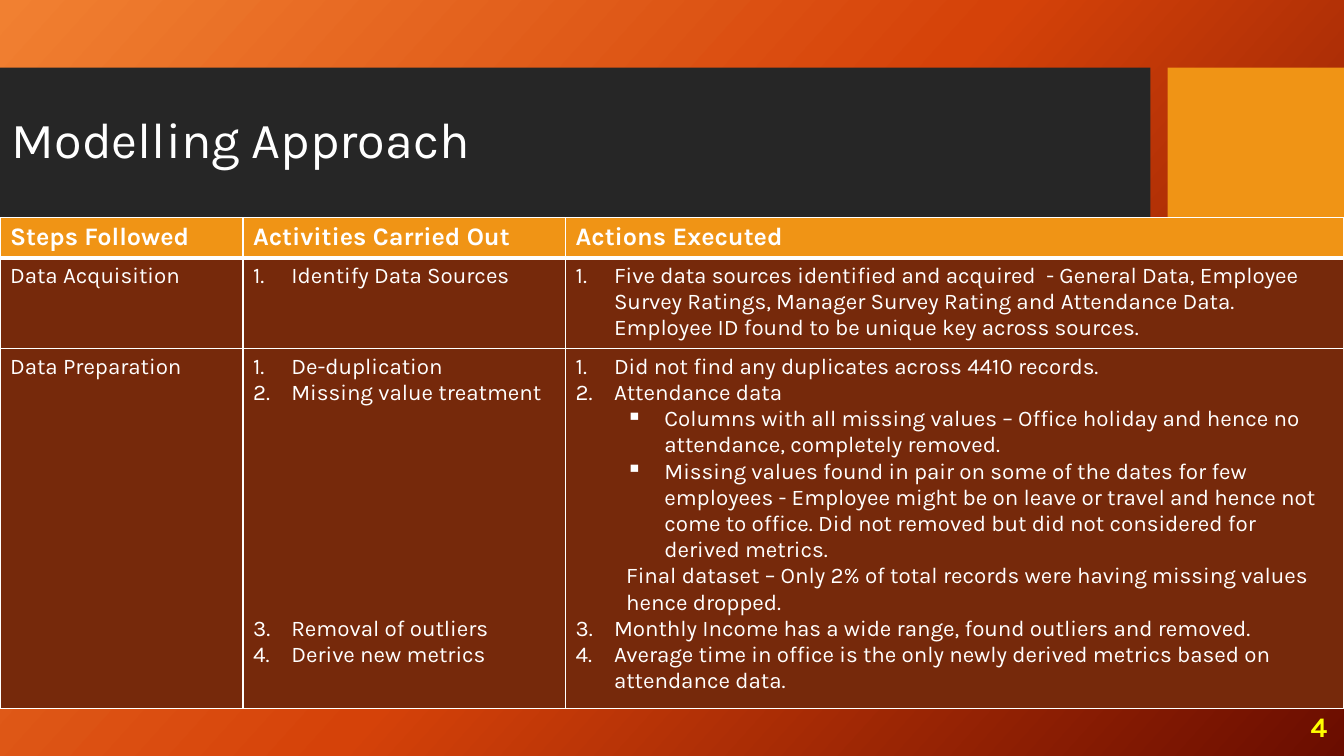
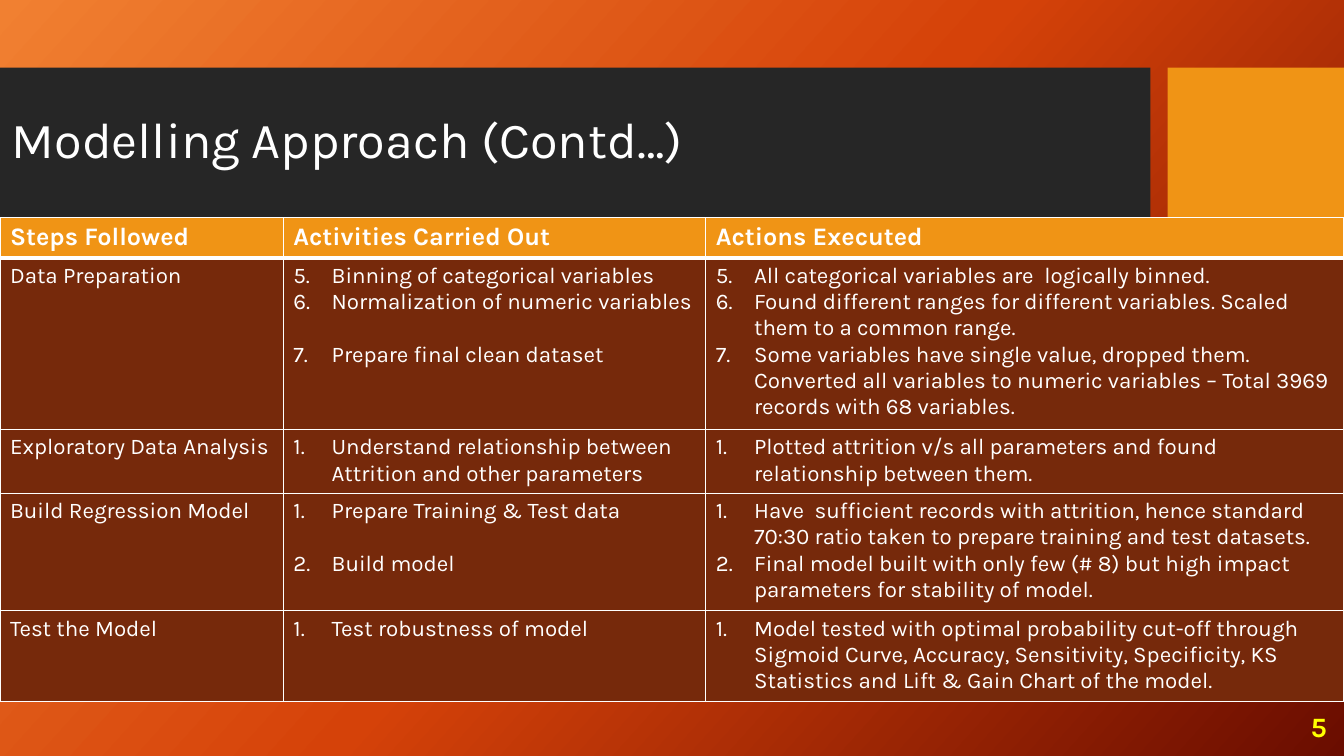
import pptx
import pptx.dml.color
import pptx.enum.shapes
import pptx.enum.text
import pptx.oxml
import pptx.oxml.ns
import pptx.util
from lxml import etree

Inches = pptx.util.Inches
Pt = pptx.util.Pt

FONT = "Karla"
COLORS = {
    "white": "FFFFFF", "title band": "262626", "accent": "F09415",
    "body": "76290B", "page number": "FFFF00",
    "glow": "F18031", "middle": "D54209", "dark": "6A0D00",
}
BACKGROUND_STOPS = [(0, "glow"), (50, "middle"), (100, "dark")]
BACKGROUND_ANGLE = 42
BANDS = [(0, 11.41, "title band"), (11.58, 1.75, "accent")]
BAND_TOP, BAND_HEIGHT = 0.67, 1.5
TABLE_TOP = 2.16
HEADER_HEIGHT = 0.39
LINE_HEIGHT = 0.26
CELL_PADDING = 0.1
HEADERS = ["Steps Followed", "Activities Carried Out", "Actions Executed"]

# Paragraph kind: level, left margin, first-line indent
PARAGRAPH_KINDS = {
    "plain": (0, 0, 0),
    "number": (0, 0.38, -0.38),
    "bullet": (1, 0.88, -0.38),
    "note": (1, 0.5, 0),
}

# An item is a text, or a text with its kind and the number of free lines above it.
# "lines" is the number of text lines that the tallest cell of the row takes.
SLIDES = [
    {
        "title": "Modelling Approach",
        "number": "4",
        "columns": [2.41, 3.2, 7.72],
        "rows": [
            {"step": "Data Acquisition", "lines": 3, "start": 1,
             "activities": ["Identify Data Sources"],
             "actions": [
                 "Five data sources identified and acquired  - General Data, Employee "
                 "Survey Ratings, Manager Survey Rating and Attendance Data. "
                 "Employee ID found to be unique key across sources."]},
            {"step": "Data Preparation", "lines": 13, "start": 1,
             "activities": [
                 "De-duplication",
                 "Missing value treatment",
                 ("Removal of outliers", "number", 8),
                 "Derive new metrics"],
             "actions": [
                 "Did not find any duplicates across 4410 records.",
                 "Attendance data",
                 ("Columns with all missing values – Office holiday and hence no "
                  "attendance, completely removed.", "bullet", 0),
                 ("Missing values found in pair on some of the dates for few "
                  "employees - Employee might be on leave or travel and hence not "
                  "come to office. Did not removed but did not considered for "
                  "derived metrics.", "bullet", 0),
                 ("Final dataset – Only 2% of total records were having missing "
                  "values hence dropped.", "note", 0),
                 "Monthly Income has a wide range, found outliers and removed.",
                 "Average time in office is the only newly derived metrics based on "
                 "attendance data."]},
        ],
    },
    {
        "title": "Modelling Approach (Contd…)",
        "number": "5",
        "columns": [2.81, 4.19, 6.33],
        "rows": [
            {"step": "Data Preparation", "lines": 6, "start": 5,
             "activities": [
                 "Binning of categorical variables",
                 "Normalization of numeric variables",
                 ("Prepare final clean dataset", "number", 1)],
             "actions": [
                 "All categorical variables are  logically binned.",
                 "Found different ranges for different variables. Scaled them to a "
                 "common range.",
                 "Some variables have single value, dropped them. Converted all "
                 "variables to numeric variables – Total 3969 records with 68 "
                 "variables."]},
            {"step": "Exploratory Data Analysis", "lines": 2, "start": 1,
             "activities": [
                 "Understand relationship between Attrition and other parameters"],
             "actions": [
                 "Plotted attrition v/s all parameters and found relationship "
                 "between them."]},
            {"step": "Build Regression Model", "lines": 4, "start": 1,
             "activities": [
                 "Prepare Training & Test data",
                 ("Build model", "number", 1)],
             "actions": [
                 "Have  sufficient records with attrition, hence standard 70:30 "
                 "ratio taken to prepare training and test datasets.",
                 "Final model built with only few (# 8) but high impact parameters "
                 "for stability of model."]},
            {"step": "Test the Model", "lines": 3, "start": 1,
             "activities": ["Test robustness of model"],
             "actions": [
                 "Model tested with optimal probability cut-off through Sigmoid "
                 "Curve, Accuracy, Sensitivity, Specificity, KS Statistics and Lift "
                 "& Gain Chart of the model."]},
        ],
    },
]


def rgb(name):
    return pptx.dml.color.RGBColor.from_string(COLORS[name])


def add_xml(parent, tag, **attributes):
    return etree.SubElement(parent, pptx.oxml.ns.qn(tag),
                            {key: str(value) for key, value in attributes.items()})


def write(paragraph, text, size=16, color="white", bold=False):
    run = paragraph.add_run()
    run.text = text
    run.font.name = FONT
    run.font.size = Pt(size)
    run.font.bold = bold
    run.font.color.rgb = rgb(color)


def set_background(slide):
    stops = "".join(
        f'<a:gs pos="{position * 1000}"><a:srgbClr val="{COLORS[name]}"/></a:gs>'
        for position, name in BACKGROUND_STOPS)
    background = pptx.oxml.parse_xml(
        f'<p:bg {pptx.oxml.ns.nsdecls("p", "a")}><p:bgPr>'
        f'<a:gradFill rotWithShape="1"><a:gsLst>{stops}</a:gsLst>'
        f'<a:lin ang="{BACKGROUND_ANGLE * 60000}" scaled="0"/></a:gradFill>'
        '<a:effectLst/></p:bgPr></p:bg>')
    slide.element.cSld.insert(0, background)


def add_band(slide, left, width, color):
    band = slide.shapes.add_shape(
        pptx.enum.shapes.MSO_SHAPE.RECTANGLE,
        Inches(left), Inches(BAND_TOP), Inches(width), Inches(BAND_HEIGHT))
    band.shadow.inherit = False
    band.fill.solid()
    band.fill.fore_color.rgb = rgb(color)
    band.line.fill.background()


def add_text_box(slide, text, box, line_spacing=1.0, **text_format):
    frame = slide.shapes.add_textbox(*map(Inches, box)).text_frame
    frame.word_wrap = True
    frame.vertical_anchor = pptx.enum.text.MSO_ANCHOR.MIDDLE
    frame.paragraphs[0].line_spacing = line_spacing
    write(frame.paragraphs[0], text, **text_format)


def set_borders(cell, **widths):
    """Draw white borders; the widths are in points, keyed L, R, T and B."""
    properties = cell._tc.get_or_add_tcPr()
    for index, side in enumerate("LRTB"):
        line = add_xml(properties, f"a:ln{side}", w=Pt(widths.get(side, 1)))
        fill = add_xml(line, "a:solidFill")
        add_xml(fill, "a:srgbClr", val=COLORS["white"])
        properties.insert(index, line)


def fill_cell(cell, items, color, start=1, default_kind="plain", **text_format):
    cell.fill.solid()
    cell.fill.fore_color.rgb = rgb(color)
    frame = cell.text_frame
    for index, item in enumerate(items):
        text, kind, free_lines = (
            (item, default_kind, 0) if isinstance(item, str) else item)
        paragraph = frame.add_paragraph() if index else frame.paragraphs[0]
        level, margin, indent = PARAGRAPH_KINDS[kind]
        paragraph.level = level
        if free_lines:
            paragraph.space_before = Inches(free_lines * LINE_HEIGHT)
        properties = paragraph._p.get_or_add_pPr()
        properties.set("marL", str(Inches(margin)))
        properties.set("indent", str(Inches(indent)))
        if kind == "number":
            add_xml(properties, "a:buFont", typeface="+mj-lt")
            numbering = add_xml(properties, "a:buAutoNum", type="arabicPeriod")
            if start > 1:
                numbering.set("startAt", str(start))
        elif kind == "bullet":
            add_xml(properties, "a:buChar", char="▪")
        write(paragraph, text, **text_format)


def add_steps_table(slide, columns, rows):
    heights = [HEADER_HEIGHT] + [
        row["lines"] * LINE_HEIGHT + CELL_PADDING for row in rows]
    table = slide.shapes.add_table(
        len(heights), len(columns), 0, Inches(TABLE_TOP),
        Inches(sum(columns)), Inches(sum(heights))).table
    table.horz_banding = False
    for column, width in zip(table.columns, columns):
        column.width = Inches(width)
    for table_row, height in zip(table.rows, heights):
        table_row.height = Inches(height)

    for cell, header in zip(table.rows[0].cells, HEADERS):
        fill_cell(cell, [header], "accent", size=18, bold=True)
        set_borders(cell, B=3)
    for index, row in enumerate(rows, start=1):
        step, activities, actions = table.rows[index].cells
        fill_cell(step, [row["step"]], "body")
        for cell, key in ((activities, "activities"), (actions, "actions")):
            fill_cell(cell, row[key], "body", row["start"], "number")
        for cell in (step, activities, actions):
            set_borders(cell, T=3 if index == 1 else 1)


def add_slide(presentation, content):
    slide = presentation.slides.add_slide(presentation.slide_layouts[6])
    set_background(slide)
    for band in BANDS:
        add_band(slide, *band)
    add_text_box(slide, content["title"], (0.02, 0.82, 10.51, 1.18),
                 line_spacing=0.9, size=36)
    add_text_box(slide, content["number"], (12.9, 6.91, 0.44, 0.59),
                 size=20, color="page number", bold=True)
    add_steps_table(slide, content["columns"], content["rows"])


def main():
    presentation = pptx.Presentation()
    presentation.slide_width = Inches(13.33)
    presentation.slide_height = Inches(7.5)
    for content in SLIDES:
        add_slide(presentation, content)
    presentation.save("out.pptx")


if __name__ == "__main__":
    main()
